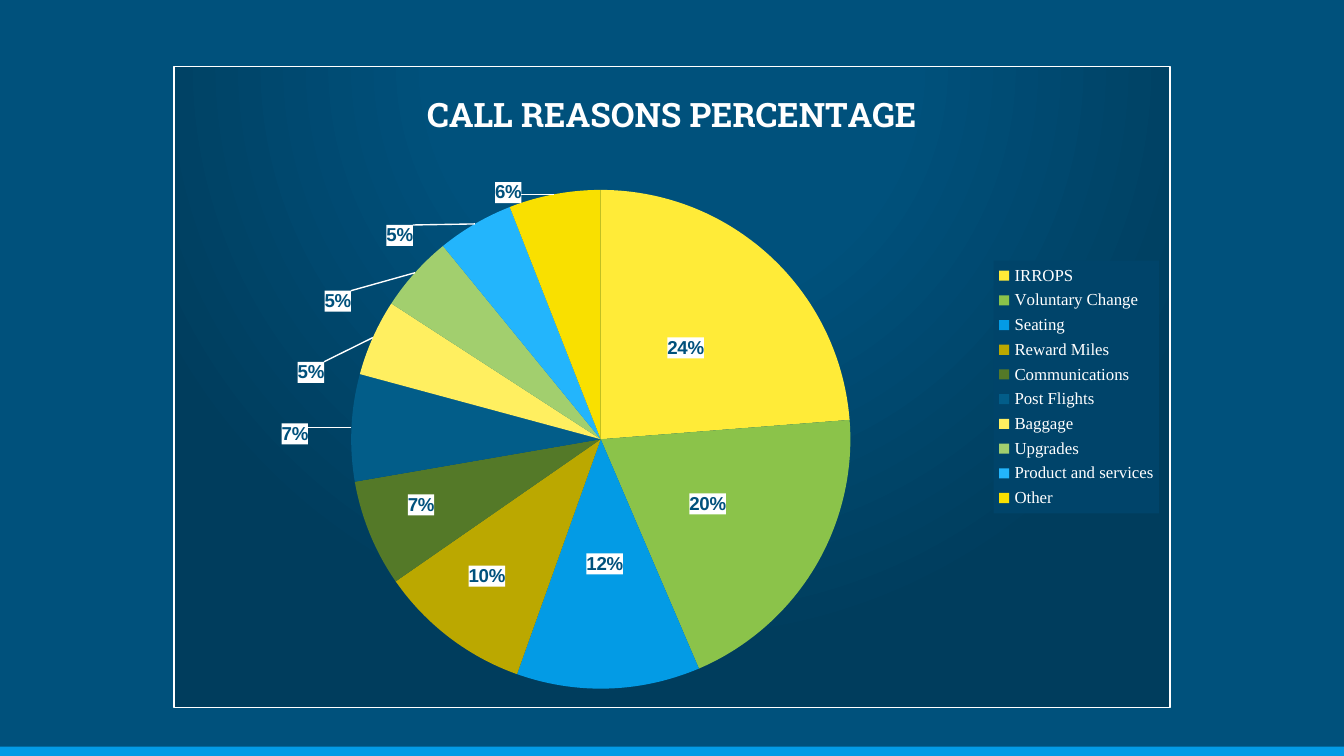
from copy import deepcopy
from dataclasses import dataclass
from math import cos, pi, sin
from typing import Optional

from lxml import etree
from pptx import Presentation
from pptx.chart.chart import Chart
from pptx.chart.data import CategoryChartData
from pptx.dml.color import RGBColor
from pptx.enum.chart import XL_CHART_TYPE, XL_LABEL_POSITION, XL_LEGEND_POSITION
from pptx.enum.shapes import MSO_SHAPE
from pptx.oxml import parse_xml
from pptx.oxml.ns import nsdecls, qn
from pptx.util import Inches, Pt

COLORS = {
    "background": "00517C",
    "edge": "003D5D",
    "legend": "00446A",
    "bar": "039BE5",
    "white": "FFFFFF",
}
CHART_LEFT, CHART_TOP, CHART_WIDTH, CHART_HEIGHT = 1.29, 0.49, 7.42, 4.78
PIE_CENTER_X, PIE_CENTER_Y, PIE_RADIUS = 4.47, 3.27, 1.86


@dataclass
class Reason:
    name: str
    value: int
    color: str
    # Centre of a moved label on the slide, in inches
    label_at: Optional[tuple[float, float]] = None


REASONS = [
    Reason("IRROPS", 24, "FFEB38"),
    Reason("Voluntary Change", 20, "8BC34A"),
    Reason("Seating", 12, "039BE5"),
    Reason("Reward Miles", 10, "BBA800", (3.62, 4.29)),
    Reason("Communications", 7, "547928", (3.13, 3.76)),
    Reason("Post Flights", 7, "025D89", (2.19, 3.23)),
    Reason("Baggage", 5, "FFEF60", (2.31, 2.77)),
    Reason("Upgrades", 5, "A2CF6E", (2.51, 2.24)),
    Reason("Product and services", 5, "23B5FC", (2.97, 1.75)),
    Reason("Other", 6, "F9E000", (3.78, 1.43)),
]


def color(name: str) -> RGBColor:
    return RGBColor.from_string(COLORS[name])


def make_layout(x: float, y: float, width: Optional[float] = None,
                height: Optional[float] = None, edge: bool = False,
                inner: bool = False) -> etree.ElementBase:
    """Manual layout in fractions of the chart."""
    parts = ['<c:layoutTarget val="inner"/>'] if inner else []
    if edge:
        parts += ['<c:xMode val="edge"/>', '<c:yMode val="edge"/>']
    for tag, value in (("x", x), ("y", y), ("w", width), ("h", height)):
        if value is not None:
            parts.append(f'<c:{tag} val="{value:.4f}"/>')
    return parse_xml(f'<c:layout {nsdecls("c")}><c:manualLayout>'
                     f'{"".join(parts)}</c:manualLayout></c:layout>')


def set_layout(parent: etree.ElementBase, layout: etree.ElementBase,
               after: Optional[str] = None) -> None:
    for old in parent.findall(qn("c:layout")):
        parent.remove(old)
    if after:
        parent.find(qn(after)).addnext(layout)
    else:
        parent.insert(0, layout)


def solid_properties(fill: str) -> etree.ElementBase:
    return parse_xml(f'<c:spPr {nsdecls("c", "a")}><a:solidFill>'
                     f'<a:srgbClr val="{fill}"/></a:solidFill></c:spPr>')


def style_frame(chart: Chart) -> None:
    stops = "".join(
        f'<a:gs pos="{position * 1000}"><a:srgbClr val="{COLORS[name]}"/></a:gs>'
        for position, name in ((0, "background"), (39, "background"), (100, "edge")))
    properties = parse_xml(
        f'<c:spPr {nsdecls("c", "a")}><a:gradFill><a:gsLst>{stops}</a:gsLst>'
        '<a:path path="circle"><a:fillToRect l="50000" t="-80000" r="50000" '
        'b="180000"/></a:path></a:gradFill><a:ln w="9525"><a:solidFill>'
        f'<a:srgbClr val="{COLORS["white"]}"/></a:solidFill></a:ln></c:spPr>')
    chart.element.find(qn("c:chart")).addnext(properties)


def add_title(chart: Chart) -> None:
    chart.has_title = True
    run = chart.chart_title.text_frame.paragraphs[0].add_run()
    run.text = "CALL REASONS PERCENTAGE"
    run.font.name = "Roboto Slab"
    run.font.size = Pt(18)
    run.font.bold = True
    run.font.color.rgb = color("white")
    title = chart.element.find(qn("c:chart")).find(qn("c:title"))
    set_layout(title, make_layout(0.248, 0.025, edge=True), after="c:tx")


def add_legend(chart: Chart) -> None:
    chart.has_legend = True
    legend = chart.legend
    legend.position = XL_LEGEND_POSITION.RIGHT
    legend.include_in_layout = False
    legend.font.name = "Times New Roman"
    legend.font.size = Pt(9)
    legend.font.color.rgb = color("white")
    element = chart.element.find(qn("c:chart")).find(qn("c:legend"))
    set_layout(element, make_layout(0.823, 0.303, 0.166, 0.394, edge=True),
               after="c:legendPos")
    element.find(qn("c:overlay")).addnext(solid_properties(COLORS["legend"]))


def add_labels(chart: Chart) -> None:
    labels = chart.plots[0].series[0].data_labels
    labels.show_percentage = True
    labels.show_value = False
    labels.number_format = "0%"
    labels.number_format_is_linked = False
    labels.position = XL_LABEL_POSITION.CENTER
    labels.font.name = "Arial"
    labels.font.size = Pt(10)
    labels.font.bold = True
    labels.font.color.rgb = color("background")

    element = chart.plots[0].series[0]._element.find(qn("c:dLbls"))
    element.find(qn("c:numFmt")).addnext(solid_properties(COLORS["white"]))
    for old in element.findall(qn("c:showLeaderLines")):
        element.remove(old)
    common = list(element)
    element.append(parse_xml(f'<c:showLeaderLines {nsdecls("c")} val="1"/>'))
    element.append(parse_xml(
        f'<c:leaderLines {nsdecls("c", "a")}><c:spPr><a:ln w="9525"><a:solidFill>'
        f'<a:srgbClr val="{COLORS["white"]}"/></a:solidFill></a:ln></c:spPr>'
        '</c:leaderLines>'))

    # Moved labels are offset from the middle of their slice
    total = sum(reason.value for reason in REASONS)
    passed, position = 0.0, 0
    for index, reason in enumerate(REASONS):
        angle = 2 * pi * (passed + reason.value / 2) / total
        passed += reason.value
        if reason.label_at is None:
            continue
        x = reason.label_at[0] - PIE_CENTER_X - PIE_RADIUS / 2 * sin(angle)
        y = reason.label_at[1] - PIE_CENTER_Y + PIE_RADIUS / 2 * cos(angle)
        label = parse_xml(f'<c:dLbl {nsdecls("c")}><c:idx val="{index}"/></c:dLbl>')
        label.append(make_layout(x / CHART_WIDTH, y / CHART_HEIGHT))
        label.extend(deepcopy(common))
        element.insert(position, label)
        position += 1


# Widescreen slide, 16:9
presentation = Presentation()
presentation.slide_width = Inches(10)
presentation.slide_height = Inches(10) * 9 // 16
slide = presentation.slides.add_slide(presentation.slide_layouts[6])
slide.background.fill.solid()
slide.background.fill.fore_color.rgb = color("background")

# Bottom bar
bar_height = Inches(0.07)
bar = slide.shapes.add_shape(
    MSO_SHAPE.RECTANGLE, Inches(0), presentation.slide_height - bar_height,
    presentation.slide_width, bar_height)
bar.shadow.inherit = False
bar.fill.solid()
bar.fill.fore_color.rgb = color("bar")
bar.line.fill.background()

# Pie chart
chart_data = CategoryChartData()
chart_data.categories = [reason.name for reason in REASONS]
chart_data.add_series("Series 1", [reason.value for reason in REASONS])
chart = slide.shapes.add_chart(
    XL_CHART_TYPE.PIE, Inches(CHART_LEFT), Inches(CHART_TOP),
    Inches(CHART_WIDTH), Inches(CHART_HEIGHT), chart_data).chart
style_frame(chart)
chart.font.name = "Arial"
chart.font.size = Pt(10)
chart.font.color.rgb = color("white")
chart.plots[0].vary_by_categories = True
for index, reason in enumerate(REASONS):
    fill = chart.plots[0].series[0].points[index].format.fill
    fill.solid()
    fill.fore_color.rgb = RGBColor.from_string(reason.color)
add_title(chart)
add_legend(chart)
add_labels(chart)
plot_area = chart.element.find(qn("c:chart")).find(qn("c:plotArea"))
set_layout(plot_area, make_layout(
    (PIE_CENTER_X - PIE_RADIUS - CHART_LEFT) / CHART_WIDTH,
    (PIE_CENTER_Y - PIE_RADIUS - CHART_TOP) / CHART_HEIGHT,
    2 * PIE_RADIUS / CHART_WIDTH, 2 * PIE_RADIUS / CHART_HEIGHT,
    edge=True, inner=True))

presentation.save("out.pptx")
